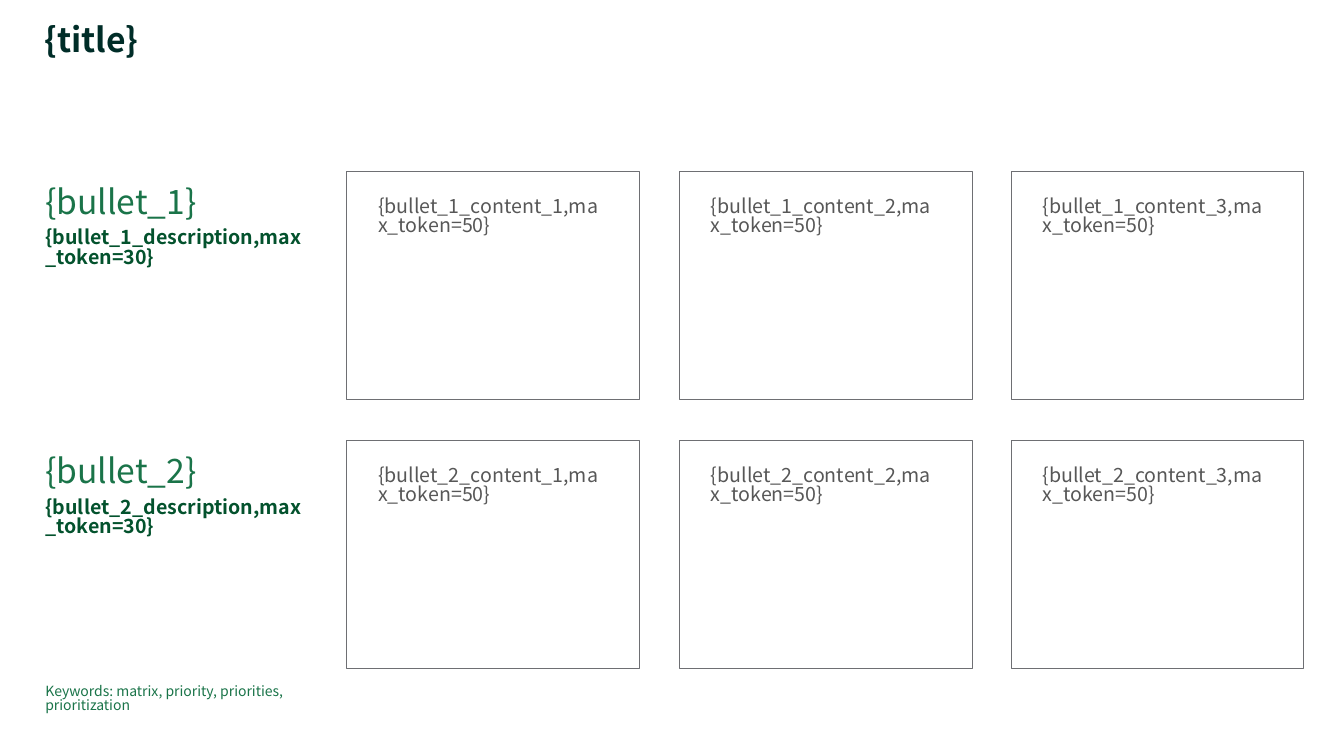
from pptx import Presentation
from pptx.dml.color import RGBColor as Rgb
from pptx.enum.shapes import MSO_SHAPE as Shape
from pptx.enum.text import MSO_ANCHOR as Anchor, PP_ALIGN as Align
from pptx.util import Pt

PX = 9144
FONT = "Noto Sans CJK JP"
TIGHT = 0.83
COLORS = {
    "title": "002D28",
    "head": "1A7449",
    "desc": "03522D",
    "body": "575757",
    "line": "6E6F73",
}


def color(name):
    return Rgb.from_string(COLORS[name])


def set_frame(frame, side=0, top=0):
    frame.word_wrap = True
    frame.vertical_anchor = Anchor.TOP
    frame.margin_left = frame.margin_right = side * PX
    frame.margin_top = frame.margin_bottom = top * PX


def write(para, text, size, tone, bold=False, before=0, after=0, lead=TIGHT):
    para.text = text
    para.alignment = Align.LEFT
    para.line_spacing = lead
    para.space_before = Pt(before)
    para.space_after = Pt(after)
    font = para.font
    font.name = FONT
    font.size = Pt(size)
    font.bold = bold
    font.color.rgb = color(tone)


def add_text(slide, x, y, w, h, top=0):
    box = slide.shapes.add_textbox(x * PX, y * PX, w * PX, h * PX)
    set_frame(box.text_frame, top=top)
    return box.text_frame


def add_label(slide, row, y):
    frame = add_text(slide, 45, y, 261, 226, top=16)
    write(frame.paragraphs[0], f"{{bullet_{row}}}", 24, "head", after=6)
    write(frame.add_paragraph(), f"{{bullet_{row}_description,max_token=30}}",
          14, "desc", bold=True, after=12)


def add_card(slide, row, col, x, y):
    card = slide.shapes.add_shape(Shape.RECTANGLE, x * PX, y * PX, 290 * PX, 226 * PX)
    card.shadow.inherit = False
    card.fill.background()
    card.line.color.rgb = color("line")
    card.line.width = Pt(0.5)
    set_frame(card.text_frame, side=31, top=26)
    write(card.text_frame.paragraphs[0],
          f"{{bullet_{row}_content_{col},max_token=50}}", 14, "body", before=6)


def main():
    deck = Presentation()
    deck.slide_width, deck.slide_height = 1333 * PX, 750 * PX
    slide = deck.slides.add_slide(deck.slide_layouts[6])

    title = add_text(slide, 44, 28, 1103, 37)
    write(title.paragraphs[0], "{title}", 24, "title", bold=True, lead=0.75)

    for row in (1, 2):
        y = 170 + (row - 1) * 267
        add_label(slide, row, y)
        for col in (1, 2, 3):
            add_card(slide, row, col, 344 + (col - 1) * 329 + (col > 1), y)

    words = add_text(slide, 45, 680, 301, 17)
    write(words.paragraphs[0], "Keywords: matrix, priority, priorities, prioritization",
          10, "head", after=1)

    deck.save("out.pptx")


if __name__ == "__main__":
    main()
